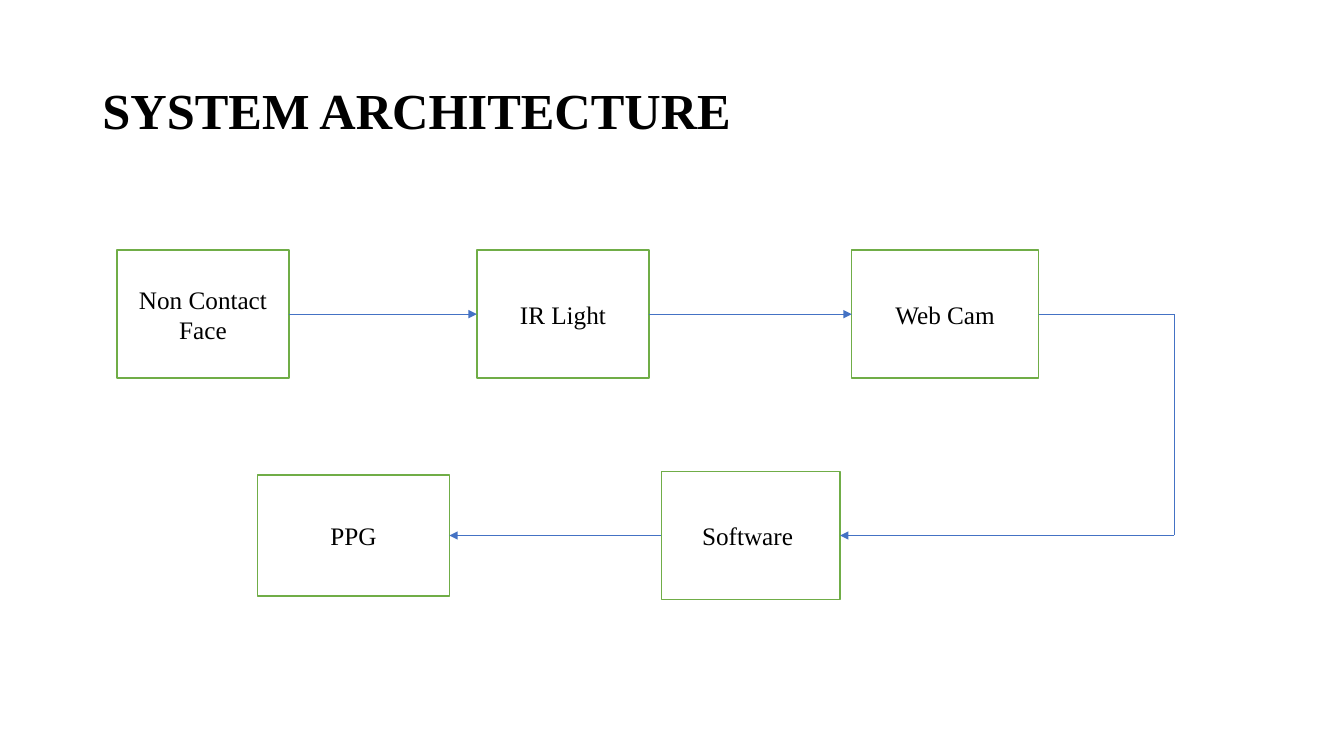
"""Build the system architecture slide with its five-step flow diagram."""
from dataclasses import dataclass

from lxml import etree
from pptx import Presentation
from pptx.dml.color import RGBColor
from pptx.enum.shapes import MSO_CONNECTOR, MSO_SHAPE
from pptx.enum.text import MSO_ANCHOR, PP_ALIGN
from pptx.oxml.ns import qn
from pptx.slide import Slide
from pptx.text.text import TextFrame
from pptx.util import Pt

STRAIGHT = MSO_CONNECTOR.STRAIGHT
RECTANGLE = MSO_SHAPE.RECTANGLE
MIDDLE = MSO_ANCHOR.MIDDLE
CENTER = PP_ALIGN.CENTER
LEFT = PP_ALIGN.LEFT


@dataclass(frozen=True)
class Theme:
    font: str = "Times New Roman"
    text: RGBColor = RGBColor(0x00, 0x00, 0x00)
    box_fill: RGBColor = RGBColor(0xFF, 0xFF, 0xFF)
    box_line: RGBColor = RGBColor(0x70, 0xAD, 0x47)
    arrow: RGBColor = RGBColor(0x44, 0x72, 0xC4)
    title_size: float = 36
    box_size: float = 18
    box_line_width: float = 1
    arrow_width: float = 0.5


@dataclass(frozen=True)
class Box:
    label: str
    left: float
    middle: float
    width: float
    height: float = 91.5

    @property
    def right(self) -> float:
        return self.left + self.width

    @property
    def top(self) -> float:
        return self.middle - self.height / 2


@dataclass(frozen=True)
class Link:
    start: tuple[float, float]
    end: tuple[float, float]
    arrowhead: bool = True


THEME = Theme()
UPPER_ROW = 224.4
LOWER_ROW = 382.5
TURN = 838.8

FACE = Box("Non Contact Face", 83.5, UPPER_ROW, 123)
LIGHT = Box("IR Light", 340.6, UPPER_ROW, 123)
CAMERA = Box("Web Cam", 608.4, UPPER_ROW, 133.4)
PPG = Box("PPG", 184, LOWER_ROW, 137, 86.4)
SOFTWARE = Box("Software ", 472.3, LOWER_ROW, 127.8)
BOXES = (FACE, LIGHT, CAMERA, PPG, SOFTWARE)

LINKS = (
    Link((FACE.right, UPPER_ROW), (LIGHT.left, UPPER_ROW)),
    Link((LIGHT.right, UPPER_ROW), (CAMERA.left, UPPER_ROW)),
    Link((CAMERA.right, UPPER_ROW), (TURN, UPPER_ROW), False),
    Link((TURN, UPPER_ROW), (TURN, LOWER_ROW), False),
    Link((TURN, LOWER_ROW), (SOFTWARE.right, LOWER_ROW)),
    Link((SOFTWARE.left, LOWER_ROW), (PPG.right, LOWER_ROW)),
)


def write_text(frame: TextFrame, text: str, size: float, alignment: PP_ALIGN,
               bold: bool = False) -> None:
    frame.word_wrap = True
    frame.vertical_anchor = MIDDLE
    paragraph = frame.paragraphs[0]
    paragraph.alignment = alignment
    run = paragraph.add_run()
    run.text = text
    run.font.name = THEME.font
    run.font.size = Pt(size)
    run.font.bold = bold
    run.font.color.rgb = THEME.text


def add_title(slide: Slide, text: str) -> None:
    title = slide.shapes.title
    title.left, title.top = Pt(66), Pt(28.75)
    title.width, title.height = Pt(828), Pt(104.4)
    write_text(title.text_frame, text, THEME.title_size, LEFT, bold=True)
    title.text_frame.paragraphs[0].line_spacing = 0.9


def add_box(slide: Slide, box: Box) -> None:
    shape = slide.shapes.add_shape(
        RECTANGLE, Pt(box.left), Pt(box.top), Pt(box.width), Pt(box.height))
    shape.shadow.inherit = False
    shape.fill.solid()
    shape.fill.fore_color.rgb = THEME.box_fill
    shape.line.color.rgb = THEME.box_line
    shape.line.width = Pt(THEME.box_line_width)
    write_text(shape.text_frame, box.label, THEME.box_size, CENTER)


def add_link(slide: Slide, link: Link) -> None:
    connector = slide.shapes.add_connector(
        STRAIGHT, *(Pt(value) for value in link.start + link.end))
    connector.line.color.rgb = THEME.arrow
    connector.line.width = Pt(THEME.arrow_width)
    if link.arrowhead:
        etree.SubElement(connector.line._get_or_add_ln(), qn("a:tailEnd"),
                         type="triangle")
    etree.SubElement(connector._element.spPr, qn("a:effectLst"))


def main() -> None:
    presentation = Presentation()
    presentation.slide_width = Pt(960)
    presentation.slide_height = Pt(540)
    title_only = presentation.slide_layouts.get_by_name("Title Only")
    slide = presentation.slides.add_slide(title_only)
    add_title(slide, "SYSTEM ARCHITECTURE")
    for box in BOXES:
        add_box(slide, box)
    for link in LINKS:
        add_link(slide, link)
    presentation.save("out.pptx")


if __name__ == "__main__":
    main()
